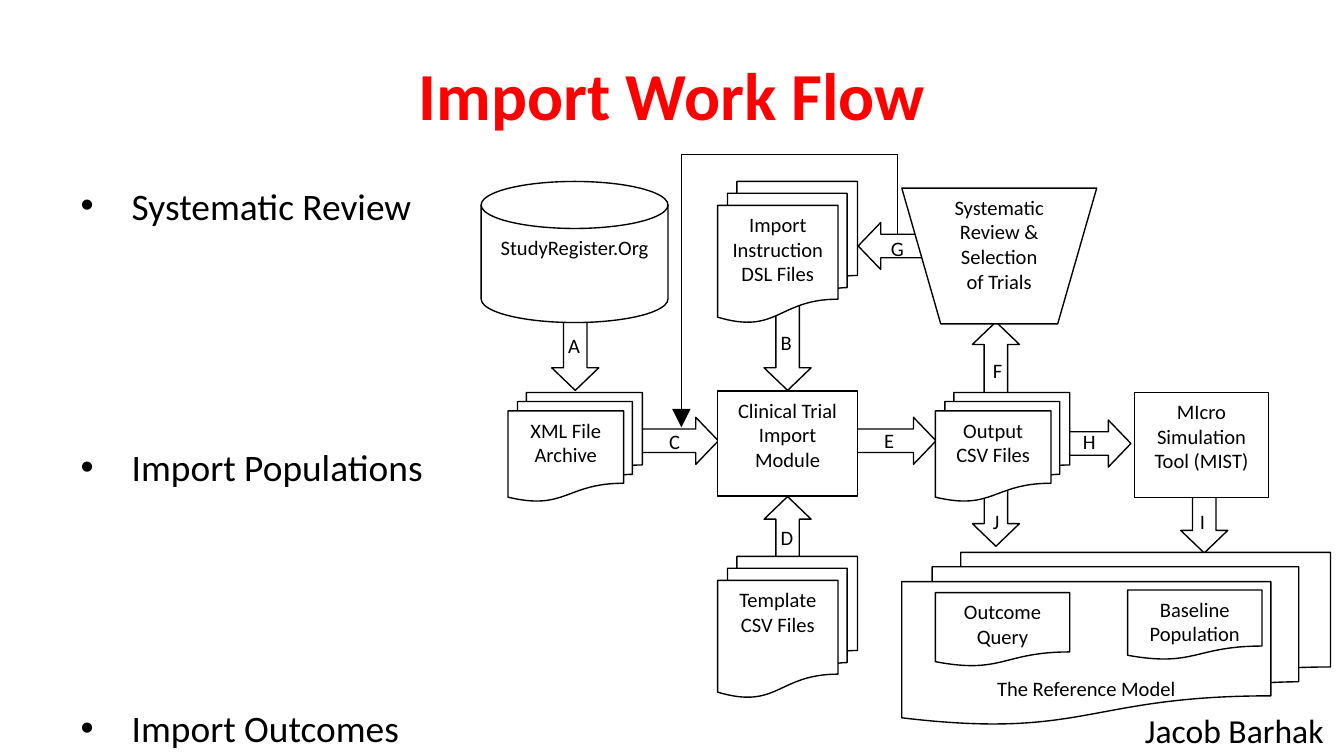
from lxml import etree
from pptx import Presentation
from pptx.dml.color import RGBColor
from pptx.enum.shapes import MSO_CONNECTOR, MSO_SHAPE
from pptx.enum.text import MSO_ANCHOR, MSO_AUTO_SIZE, PP_ALIGN
from pptx.oxml.ns import qn
from pptx.util import Inches, Pt

DISK = MSO_SHAPE.FLOWCHART_MAGNETIC_DISK
STACK = MSO_SHAPE.FLOWCHART_MULTIDOCUMENT
DOC = MSO_SHAPE.FLOWCHART_DOCUMENT
FUNNEL = MSO_SHAPE.FLOWCHART_MANUAL_OPERATION
BOX = MSO_SHAPE.RECTANGLE
ARROW = MSO_SHAPE.RIGHT_ARROW
LEFT, CENTER = PP_ALIGN.LEFT, PP_ALIGN.CENTER

BLACK, WHITE, RED = "000000", "FFFFFF", "FF0000"
FONT = "Calibri"
SLIDE_W = 10
SLIDE_H = SLIDE_W * 9 / 16
ARROW_W, ARROW_H = 0.67, 0.35
LABEL_W, LABEL_H = 0.3, 0.25
RIGHT, DOWN, BACK, UP = 0, 90, 180, 270

TITLE = "Import Work Flow"
BULLETS = ["Systematic Review", "Import Populations", "Import Outcomes"]
BULLET_GAP = 116
AUTHOR = "Jacob Barhak"

# Left edges of the columns and tops of the rows
IMPORT, OUTPUT, MODEL = 5.34, 6.96, 6.71
TOP, MIDDLE, BOTTOM = 1.35, 2.92, 4.14
# Centres of the arrows
REGISTRY_X, IMPORT_X, OUTPUT_X, TOOL_X = 4.28, 5.86, 7.41, 8.96
INPUT_Y, FLOW_Y = 2.57, 3.28

# label, centre x, centre y, direction, label offset
ARROWS = [
    ("A", REGISTRY_X, INPUT_Y, DOWN, (0, -0.02)),
    ("B", IMPORT_X, INPUT_Y, DOWN, (0, -0.04)),
    ("C", 5.01, FLOW_Y, RIGHT, (0.02, -0.01)),
    ("D", IMPORT_X, 4.03, UP, (0, -0.05)),
    ("E", 6.63, FLOW_Y, RIGHT, (0, -0.02)),
    ("F", OUTPUT_X, 2.73, UP, (0.03, 0.01)),
    ("G", 6.72, 1.83, BACK, (-0.04, 0)),
    ("H", 8.08, 3.3, RIGHT, (0.03, -0.03)),
    ("I", TOOL_X, 3.78, DOWN, (0.02, 0.08)),
    ("J", OUTPUT_X, 3.73, DOWN, (0.03, 0.13)),
]

# kind, text, left, top, width, height, top inset
NODES = [
    (STACK, "The Reference Model", MODEL, 4.11, 3.19, 1.28, 0.7),
    (DISK, "StudyRegister.Org", 3.58, TOP, 1.39, 1.05, 0.05),
    (STACK, "XML File Archive", 3.78, MIDDLE, 1, 0.81, 0.05),
    (BOX, "Clinical Trial Import Module", IMPORT, 2.91, 1.04, 0.78, 0.05),
    (STACK, "Import Instruction DSL Files", IMPORT, TOP, 1.04, 1.05, 0.05),
    (STACK, "Template CSV Files", IMPORT, BOTTOM, 1.04, 1.05, 0.05),
    (STACK, "Output CSV Files", OUTPUT, MIDDLE, 1, 0.81, 0.05),
    (FUNNEL, "Systematic Review & Selection of Trials", MODEL, 1.4, 1.45, 1.01, 0.05),
    (BOX, "MIcro Simulation Tool (MIST)", 8.44, MIDDLE, 1, 0.78, 0.05),
    (DOC, "Outcome Query", OUTPUT, 4.41, 1, 0.55, 0.05),
    (DOC, "Baseline Population", 8.39, 4.39, 1, 0.52, 0.05),
]

# Corners of the feedback line from arrow G to arrow C
FEEDBACK = [(6.68, 1.74), (6.68, 1.15), (5.07, 1.15), (5.07, 3.18)]


def rgb(color):
    return RGBColor.from_string(color)


def write(p, text, size, align=LEFT, color=BLACK, bold=False):
    p.alignment = align
    r = p.add_run()
    r.text = text
    r.font.color.rgb = rgb(color)
    for name, value in {"name": FONT, "size": Pt(size), "bold": bold}.items():
        setattr(r.font, name, value)


def place(s, *box):
    for name, value in zip(("left", "top", "width", "height"), box):
        setattr(s, name, Inches(value))


def add_outlined(shapes, kind, *box):
    s = shapes.add_shape(kind, *map(Inches, box))
    s.shadow.inherit = False
    s.fill.solid()
    s.fill.fore_color.rgb = rgb(WHITE)
    s.line.color.rgb = rgb(BLACK)
    s.line.width = Pt(0.75)
    return s


def add_arrow(shapes, x, y, direction):
    s = add_outlined(shapes, ARROW, x - ARROW_W / 2, y - ARROW_H / 2, ARROW_W, ARROW_H)
    s.adjustments[0], s.adjustments[1] = 0.5, 0.48
    s.rotation = direction


def add_node(shapes, kind, text, left, top, width, height, inset):
    s = add_outlined(shapes, kind, left, top, width, height)
    tf = s.text_frame
    tf.word_wrap = True
    tf.vertical_anchor = MSO_ANCHOR.TOP
    tf.margin_top = Inches(inset)
    write(tf.paragraphs[0], text, 11, CENTER)


def add_label(shapes, text, size, *box):
    tf = shapes.add_textbox(*map(Inches, box)).text_frame
    tf.word_wrap = False
    write(tf.paragraphs[0], text, size)


def add_line(shapes, start, end, arrowhead):
    s = shapes.add_connector(MSO_CONNECTOR.STRAIGHT, *map(Inches, start + end))
    s.line.color.rgb = rgb(BLACK)
    s.line.width = Pt(0.75)
    spPr = s._element.spPr
    if arrowhead:
        etree.SubElement(spPr.find(qn("a:ln")), qn("a:tailEnd"), type="triangle",
                         w="lg", len="lg")
    etree.SubElement(spPr, qn("a:effectLst"))


def add_bullets(tf):
    tf.auto_size = MSO_AUTO_SIZE.NONE
    for i, text in enumerate(BULLETS):
        p = tf.add_paragraph() if i else tf.paragraphs[0]
        write(p, text, 20)
        p.space_before = Pt(BULLET_GAP if i else 0)
        pPr = p._p.get_or_add_pPr()
        pPr.set("marL", str(Inches(0.38)))
        pPr.set("indent", str(Inches(-0.38)))
        etree.SubElement(pPr, qn("a:buChar"), char="•")


def main():
    prs = Presentation()
    prs.slide_width, prs.slide_height = Inches(SLIDE_W), Inches(SLIDE_H)
    slide = prs.slides.add_slide(prs.slide_layouts[1])
    shapes = slide.shapes
    title, body = slide.placeholders

    place(title, 0.5, 0.23, 9, 0.94)
    title.text_frame.vertical_anchor = MSO_ANCHOR.MIDDLE
    write(title.text_frame.paragraphs[0], TITLE, 36, CENTER, RED, True)
    place(body, 0.5, 1.31, 9, 3.71)
    add_bullets(body.text_frame)

    add_label(shapes, AUTHOR, 18, 8.42, 5.23, 1.58, 0.4)
    for _, x, y, direction, _ in ARROWS:
        add_arrow(shapes, x, y, direction)
    for node in NODES:
        add_node(shapes, *node)
    for label, x, y, _, (dx, dy) in ARROWS:
        add_label(shapes, label, 11, x + dx - LABEL_W / 2, y + dy - LABEL_H / 2,
                  LABEL_W, LABEL_H)
    for start, end in zip(FEEDBACK, FEEDBACK[1:]):
        add_line(shapes, start, end, end == FEEDBACK[-1])

    prs.save("out.pptx")


if __name__ == "__main__":
    main()
